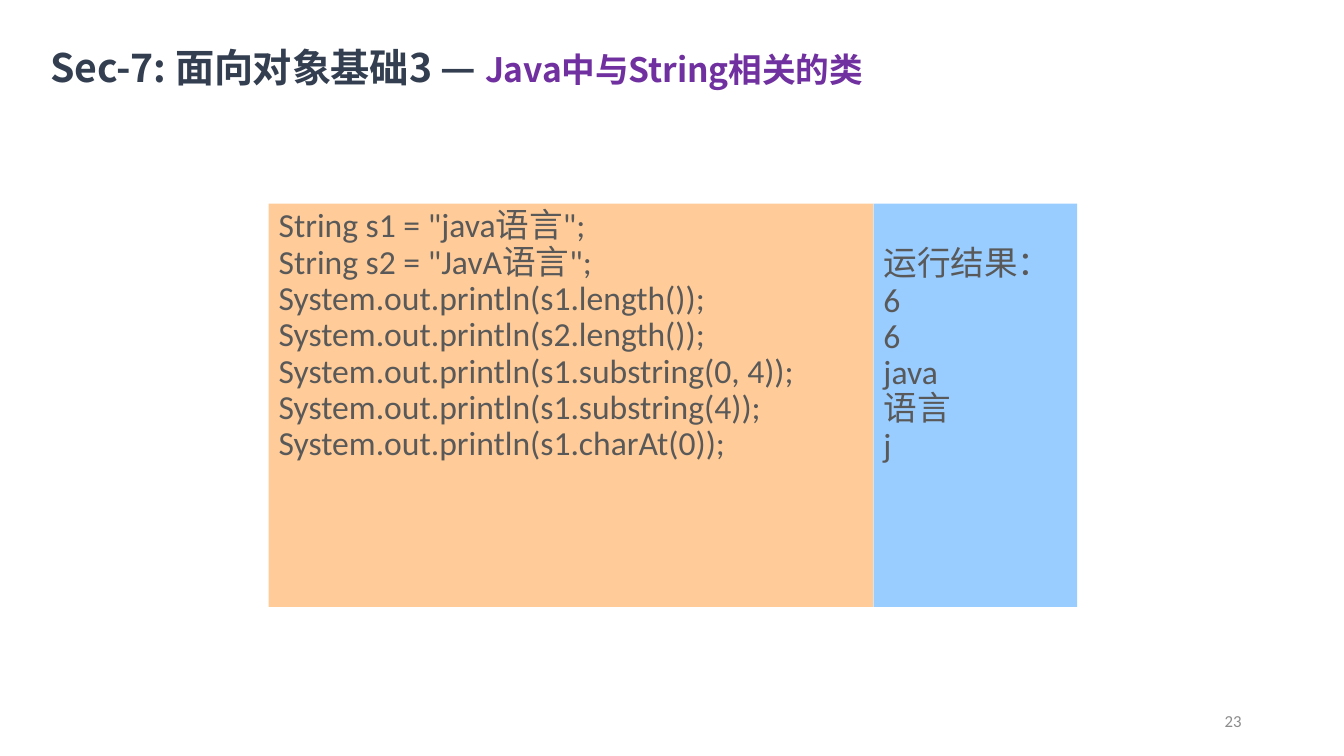
"""Build a slide that shows Java String code beside its output."""
from pptx import Presentation
from pptx.dml.color import RGBColor
from pptx.enum.shapes import MSO_SHAPE
from pptx.enum.text import MSO_ANCHOR, MSO_AUTO_SIZE, PP_ALIGN
from pptx.oxml.ns import qn
from pptx.util import Emu, Pt

INK = {"navy": "333F50", "purple": "7030A0", "text": "595959",
       "gray": "8C8C8C", "orange": "FFCC99", "blue": "99CCFF"}
CODE = ["String s1 = \"java语言\";",
        "String s2 = \"JavA语言\";",
        "System.out.println(s1.length());",
        "System.out.println(s2.length());",
        "System.out.println(s1.substring(0, 4));",
        "System.out.println(s1.substring(4));",
        "System.out.println(s1.charAt(0));"]
OUTPUT = ["运行结果：", "6", "6", "java", "语言", "j"]


def px(n):
    return Emu(n * 9525)


def color(name):
    return RGBColor.from_string(INK[name])


def write(para, text, size=24, ink="text", face="Calibri", bold=False, track=0):
    run = para.add_run()
    run.text = text
    font = run.font
    font.size, font.bold, font.name = Pt(size), bold, face
    font.color.rgb = color(ink)
    props = run._r.get_or_add_rPr()
    east = props.makeelement(qn("a:ea"), {"typeface": "Noto Sans CJK SC"})
    props.find(qn("a:latin")).addnext(east)
    if track:
        props.set("spc", str(track))


def panel(slide, left, width, fill, lines, top=5):
    box = slide.shapes.add_shape(
        MSO_SHAPE.RECTANGLE, px(left), px(194), px(width), px(384))
    box.shadow.inherit = False
    box.fill.solid()
    box.fill.fore_color.rgb = color(fill)
    box.line.fill.background()
    frame = box.text_frame
    frame.word_wrap = True
    frame.vertical_anchor = MSO_ANCHOR.TOP
    frame.margin_top = px(top)
    for i, line in enumerate(lines):
        para = frame.add_paragraph() if i else frame.paragraphs[0]
        para.alignment = PP_ALIGN.LEFT
        para.line_spacing = 0.9
        props = para._p.get_or_add_pPr()
        props.set("marL", str(px(36)))
        props.set("indent", str(-px(36)))
        write(para, line)


def heading(slide):
    title = slide.shapes.title
    title.left, title.top = px(48), px(40)
    title.width, title.height = px(1023), px(46)
    frame = title.text_frame
    frame.word_wrap = True
    frame.auto_size = MSO_AUTO_SIZE.NONE
    frame.vertical_anchor = MSO_ANCHOR.TOP
    frame.margin_left = frame.margin_right = frame.margin_bottom = 0
    frame.margin_top = px(1)
    para = frame.paragraphs[0]
    para.alignment = PP_ALIGN.LEFT
    style = {"face": "Noto Sans CJK SC", "bold": True, "track": -10}
    write(para, "Sec-7: 面向对象基础3 — ", size=28, ink="navy", **style)
    write(para, "Java中与String相关的类", ink="purple", **style)


def number(slide, text):
    box = slide.shapes.add_textbox(px(904), px(667), px(288), px(38))
    frame = box.text_frame
    frame.word_wrap = True
    frame.vertical_anchor = MSO_ANCHOR.MIDDLE
    para = frame.paragraphs[0]
    para.alignment = PP_ALIGN.RIGHT
    write(para, text, size=12, ink="gray")


def main():
    deck = Presentation()
    deck.slide_width, deck.slide_height = px(1280), px(720)
    slide = deck.slides.add_slide(deck.slide_layouts[5])
    heading(slide)
    panel(slide, 256, 576, "orange", CODE)
    panel(slide, 832, 194, "blue", OUTPUT, top=41)
    number(slide, "23")
    deck.save("out.pptx")


if __name__ == "__main__":
    main()
